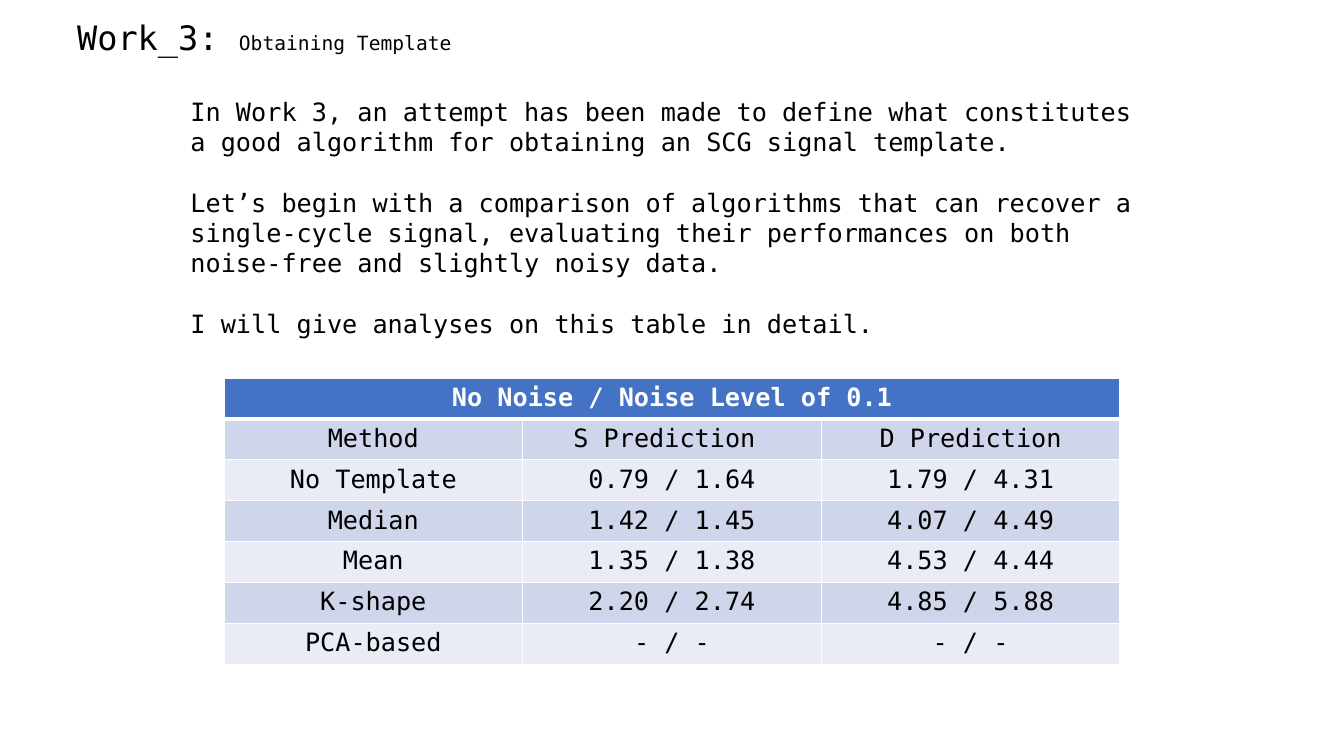
from dataclasses import dataclass

import pptx
import pptx.dml.color
import pptx.enum.text
import pptx.oxml
import pptx.oxml.ns
import pptx.util

Pt = pptx.util.Pt


@dataclass(frozen=True)
class Theme:
    font: str = "DejaVu Sans Mono"
    text: str = "000000"
    white: str = "FFFFFF"
    header: str = "4472C4"
    bands: tuple[str, str] = ("CFD5EA", "E9EBF5")
    title: float = 24
    subtitle: float = 14
    body: float = 18
    line: float = 21.6
    rule: float = 1
    header_rule: float = 3


@dataclass(frozen=True)
class Box:
    left: float
    top: float
    width: float
    height: float

    def lengths(self) -> tuple:
        return Pt(self.left), Pt(self.top), Pt(self.width), Pt(self.height)


@dataclass(frozen=True)
class Run:
    text: str
    size: float
    color: str
    bold: bool = False


THEME = Theme()
TITLE_BOX = Box(48, 8.8, 424, 36)
BODY_BOX = Box(129, 65.4, 703, 181.4)
TABLE_BOX = Box(160, 270, 640, 204.4)

TITLE = [
    Run("Work_3: ", THEME.title, THEME.text),
    Run("Obtaining Template", THEME.subtitle, THEME.text),
]
BODY = [
    "In Work 3, an attempt has been made to define what constitutes "
    "a good algorithm for obtaining an SCG signal template.",
    "Let’s begin with a comparison of algorithms that can recover a "
    "single-cycle signal, evaluating their performances on both "
    "noise-free and slightly noisy data.",
    "I will give analyses on this table in detail.",
]
TABLE_TITLE = "No Noise / Noise Level of 0.1"
RESULTS = [
    ("Method", "S Prediction ", "D Prediction"),
    ("No Template", "0.79 / 1.64", "1.79 / 4.31"),
    ("Median", "1.42 / 1.45", "4.07 / 4.49"),
    ("Mean", "1.35 / 1.38", "4.53 / 4.44"),
    ("K-shape", "2.20 / 2.74", "4.85 / 5.88"),
    ("PCA-based", "- / -", "- / -"),
]


def rgb(color: str) -> pptx.dml.color.RGBColor:
    return pptx.dml.color.RGBColor.from_string(color)


def add_run(p, run: Run) -> None:
    r = p.add_run()
    r.text = run.text
    r.font.name = THEME.font
    r.font.size = Pt(run.size)
    r.font.bold = run.bold
    r.font.color.rgb = rgb(run.color)


def add_text(slide, box: Box, paragraphs: list[list[Run]]) -> list:
    tf = slide.shapes.add_textbox(*box.lengths()).text_frame
    tf.word_wrap = True
    for i, runs in enumerate(paragraphs):
        p = tf.add_paragraph() if i else tf.paragraphs[0]
        for run in runs:
            add_run(p, run)
    return list(tf.paragraphs)


def add_body(slide) -> None:
    runs = [[Run(text, THEME.body, THEME.text)] for text in BODY]
    for i, p in enumerate(add_text(slide, BODY_BOX, runs)):
        p.line_spacing = Pt(THEME.line)
        p.space_before = Pt(THEME.line if i else 0)


def set_borders(cell, top: float, bottom: float) -> None:
    properties = cell._tc.get_or_add_tcPr()
    widths = {"L": THEME.rule, "R": THEME.rule, "T": top, "B": bottom}
    for side, width in widths.items():
        properties.append(pptx.oxml.parse_xml(
            f'<a:ln{side} {pptx.oxml.ns.nsdecls("a")} w="{Pt(width)}">'
            f'<a:solidFill><a:srgbClr val="{THEME.white}"/></a:solidFill>'
            f'</a:ln{side}>'))


def fill_cell(cell, run: Run, fill: str) -> None:
    cell.fill.solid()
    cell.fill.fore_color.rgb = rgb(fill)
    p = cell.text_frame.paragraphs[0]
    p.alignment = pptx.enum.text.PP_ALIGN.CENTER
    add_run(p, run)


def add_results(slide) -> None:
    rows, columns = len(RESULTS) + 1, len(RESULTS[0])
    table = slide.shapes.add_table(rows, columns, *TABLE_BOX.lengths()).table
    for row in table.rows:
        row.height = Pt(TABLE_BOX.height / rows)
    for column in table.columns:
        column.width = Pt(TABLE_BOX.width / columns)
    for i in range(rows):
        for j in range(columns):
            set_borders(table.cell(i, j),
                        THEME.header_rule if i == 1 else THEME.rule,
                        THEME.header_rule if i == 0 else THEME.rule)

    header = table.cell(0, 0)
    header.merge(table.cell(0, columns - 1))
    fill_cell(header, Run(TABLE_TITLE, THEME.body, THEME.white, True),
              THEME.header)
    for i, values in enumerate(RESULTS):
        for j, value in enumerate(values):
            fill_cell(table.cell(i + 1, j),
                      Run(value, THEME.body, THEME.text), THEME.bands[i % 2])


def main() -> None:
    prs = pptx.Presentation()
    prs.slide_width, prs.slide_height = Pt(960), Pt(540)
    slide = prs.slides.add_slide(prs.slide_layouts[6])
    add_text(slide, TITLE_BOX, [TITLE])
    add_body(slide)
    add_results(slide)
    prs.save("out.pptx")


if __name__ == "__main__":
    main()
